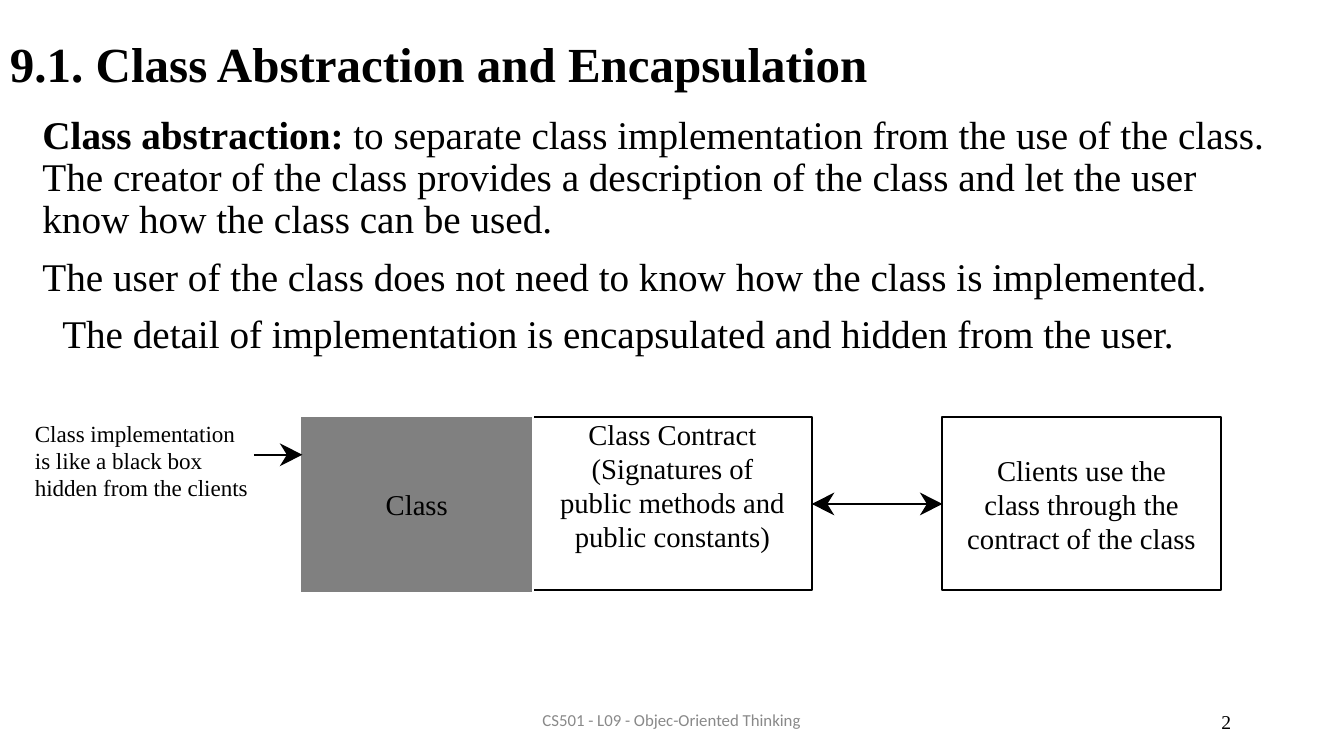
from pptx import Presentation
from pptx.dml.color import RGBColor
from pptx.enum.shapes import MSO_CONNECTOR as Connector, MSO_SHAPE as Shape
from pptx.enum.text import MSO_ANCHOR as Anchor, MSO_AUTO_SIZE as AutoSize, PP_ALIGN as Align
from pptx.oxml.ns import qn
from pptx.util import Cm, Pt
from lxml.etree import SubElement

BLACK = RGBColor(0x00, 0x00, 0x00)
WHITE = RGBColor(0xFF, 0xFF, 0xFF)
GRAY = RGBColor(0x80, 0x80, 0x80)
FOOTER_GRAY = RGBColor(0x89, 0x89, 0x89)
SERIF = "Times New Roman"

TITLE = "9.1. Class Abstraction and Encapsulation"
# (bold lead, text, left indent in cm)
BODY = [
    ("Class abstraction: ",
     "to separate class implementation from the use of the class. "
     "The creator of the class provides a description of the class and let the user "
     "know how the class can be used.", 0),
    ("", "The user of the class does not need to know how the class is implemented.", 0),
    ("", "The detail of implementation is encapsulated and hidden from the user.", 0.5),
]
CONTRACT = ["Class Contract", "(Signatures of", "public methods and", "public constants)"]
CLIENTS = ["Clients use the", "class through the", "contract of the class"]
BLACK_BOX_NOTE = ["Class implementation", "is like a black box", "hidden from the clients"]
FOOTER = "CS501 - L09 - Objec-Oriented Thinking"
PAGE_NUMBER = "2"

# left, top, width, height in cm
CONTRACT_AT = (13.44, 10.52, 7.02, 4.36)
CLASS_AT = (7.57, 10.49, 5.87, 4.45)
CLIENTS_AT = (23.75, 10.52, 7.02, 4.36)
HEAD_LENGTH, HEAD_HALF, HEAD_NOTCH = 0.57, 0.29, 0.18


def write(para, lines, size, font=SERIF, color=BLACK, bold=False, align=Align.LEFT, spacing=None):
    """Append lines to a paragraph, parted by line breaks."""
    para.alignment = align
    if spacing:
        para.line_spacing = Pt(spacing)
    for number, line in enumerate(lines):
        if number:
            para.add_line_break()
        span = para.add_run()
        span.text = line
        span.font.name, span.font.size, span.font.bold = font, Pt(size), bold
        span.font.color.rgb = color


def prepare(shape, anchor=Anchor.TOP, wrap=True):
    """Remove the insets of a text frame and return its first paragraph."""
    frame = shape.text_frame
    frame.margin_left = frame.margin_top = frame.margin_right = frame.margin_bottom = 0
    frame.vertical_anchor = anchor
    frame.auto_size = AutoSize.NONE
    frame.word_wrap = wrap
    return frame.paragraphs[0]


def add_textbox(page, place, wrap=False):
    return prepare(page.shapes.add_textbox(*map(Cm, place)), wrap=wrap)


def add_box(page, place, lines, fill=None, line=BLACK, anchor=Anchor.MIDDLE):
    box = page.shapes.add_shape(Shape.RECTANGLE, *map(Cm, place))
    box.shadow.inherit = False
    if fill is None:
        box.fill.background()
    else:
        box.fill.solid()
        box.fill.fore_color.rgb = fill
    box.line.color.rgb = line
    box.line.width = Pt(1.5)
    write(prepare(box, anchor), lines, 20.5, align=Align.CENTER, spacing=24.2)
    return box


def add_line(page, start, end, y):
    line = page.shapes.add_connector(Connector.STRAIGHT, Cm(start), Cm(y), Cm(end), Cm(y))
    line.line.color.rgb = BLACK
    line.line.width = Pt(1.5)
    SubElement(line._element.spPr, qn("a:effectLst"))
    return line


def add_head(page, tip, y, direction):
    """Draw a barbed arrowhead; direction is 1 for right and -1 for left."""
    back = tip - direction * HEAD_LENGTH
    points = [(back, y - HEAD_HALF), (back + direction * HEAD_NOTCH, y), (back, y + HEAD_HALF)]
    outline = page.shapes.build_freeform(Cm(tip), Cm(y))
    outline.add_line_segments([(Cm(px), Cm(py)) for px, py in points], close=True)
    head = outline.convert_to_shape()
    head.shadow.inherit = False
    head.fill.solid()
    head.fill.fore_color.rgb = BLACK
    head.line.fill.background()


def main():
    deck = Presentation()
    deck.slide_width, deck.slide_height = Cm(33.87), Cm(19.05)
    page = deck.slides.add_slide(deck.slide_layouts[5])

    title = page.shapes.title
    title.left, title.top, title.width, title.height = map(Cm, (0.25, 0.8, 24, 1.55))
    write(prepare(title, Anchor.MIDDLE), [TITLE], 35, bold=True)

    para = add_textbox(page, (1.07, 2.92, 31.1, 6.2), wrap=True)
    body = para._parent
    for number, (lead, text, indent) in enumerate(BODY):
        if number:
            para = body.add_paragraph()
            para.space_before = Pt(11)
        if indent:
            para._p.get_or_add_pPr().set("marL", str(Cm(indent)))
        if lead:
            write(para, [lead], 28, bold=True)
        write(para, [text], 28, spacing=30)

    contract = add_box(page, CONTRACT_AT, CONTRACT, anchor=Anchor.TOP)
    add_box(page, CLASS_AT, ["Class"], fill=GRAY, line=WHITE)
    clients = add_box(page, CLIENTS_AT, CLIENTS)

    write(add_textbox(page, (0.88, 10.57, 5.6, 2.1)), BLACK_BOX_NOTE, 16.5, spacing=19.5)

    note_y = 11.46
    class_left = CLASS_AT[0] + 0.05
    add_line(page, 6.4, class_left - HEAD_LENGTH + HEAD_NOTCH, note_y)
    add_head(page, class_left, note_y, 1)

    contract_right = CONTRACT_AT[0] + CONTRACT_AT[2]
    middle = CONTRACT_AT[1] + CONTRACT_AT[3] / 2
    link = add_line(page, contract_right, CLIENTS_AT[0], middle)
    link.begin_connect(contract, 3)
    link.end_connect(clients, 1)
    add_head(page, contract_right, middle, -1)
    add_head(page, CLIENTS_AT[0], middle, 1)

    write(add_textbox(page, (13.67, 17.88, 6.6, 0.58)), [FOOTER], 12,
          font="Calibri", color=FOOTER_GRAY)
    write(add_textbox(page, (30.78, 17.9, 0.6, 0.6)), [PAGE_NUMBER], 14, spacing=16.3)

    deck.save("out.pptx")


if __name__ == "__main__":
    main()
